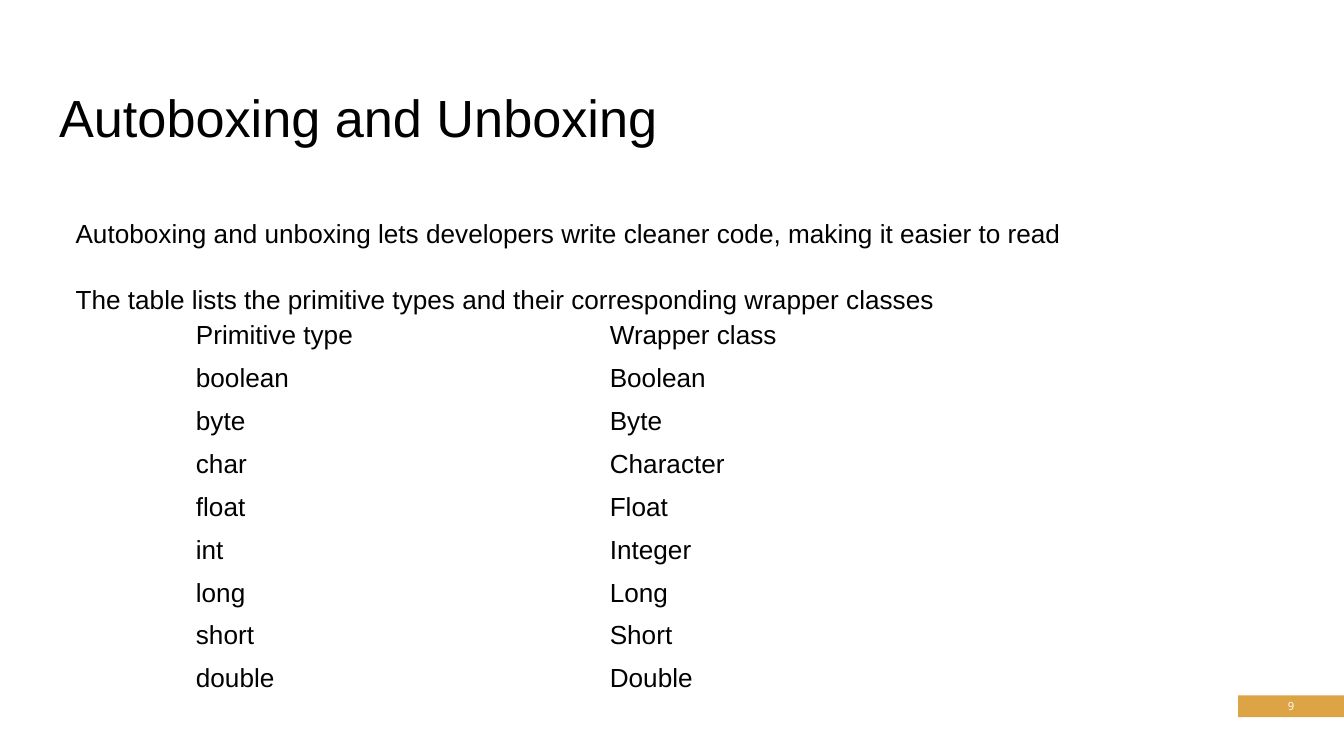
from pptx import Presentation
from pptx.dml.color import RGBColor
from pptx.enum.shapes import MSO_SHAPE
from pptx.enum.text import MSO_ANCHOR, MSO_AUTO_SIZE, PP_ALIGN
from pptx.util import Pt

TITLE = "Autoboxing and Unboxing"
STATEMENTS = [
    "Autoboxing and unboxing lets developers write cleaner code, making it easier to read",
    "The table lists the primitive types and their corresponding wrapper classes",
]
TYPES = [
    ("Primitive type", "Wrapper class"),
    ("boolean", "Boolean"),
    ("byte", "Byte"),
    ("char", "Character"),
    ("float", "Float"),
    ("int", "Integer"),
    ("long", "Long"),
    ("short", "Short"),
    ("double", "Double"),
]
PAGE = "9"
BLACK, WHITE, GOLD = "000000", "FFFFFF", "DDA446"
LEFT, WIDTH = 24.5, 671
COLUMN, ROW = 221.75, 23


def color(code):
    return RGBColor.from_string(code)


def write(frame, *lines, size=14, font="Arial", ink=BLACK, align=PP_ALIGN.LEFT,
          anchor=MSO_ANCHOR.TOP, spacing=1.0, inset=7.2):
    frame.word_wrap = True
    frame.auto_size = MSO_AUTO_SIZE.NONE
    frame.vertical_anchor = anchor
    frame.margin_left = frame.margin_right = Pt(inset)
    frame.margin_top = frame.margin_bottom = Pt(7.2)
    frame.text = "\n".join(lines)
    for paragraph in frame.paragraphs:
        paragraph.alignment = align
        paragraph.line_spacing = spacing
        paragraph.space_before = paragraph.space_after = Pt(0)
        for run in paragraph.runs:
            run.font.size = Pt(size)
            run.font.name = font
            run.font.color.rgb = color(ink)


def place(shape, left, top, width, height):
    shape.left, shape.top = Pt(left), Pt(top)
    shape.width, shape.height = Pt(width), Pt(height)


deck = Presentation()
deck.slide_width, deck.slide_height = Pt(720), Pt(405)
slide = deck.slides.add_slide(deck.slide_layouts[5])
slide.background.fill.solid()
slide.background.fill.fore_color.rgb = color(WHITE)

title = slide.shapes.title
place(title, LEFT, 35, WIDTH, 45.5)
write(title.text_frame, TITLE, size=28, spacing=1.1)

statements = slide.shapes.add_textbox(Pt(LEFT), Pt(90.75), Pt(WIDTH), Pt(269.25))
write(statements.text_frame, *STATEMENTS, spacing=2.1, inset=16)

page_tag = slide.shapes.add_shape(
    MSO_SHAPE.RECTANGLE, Pt(663.25), Pt(372.5), Pt(56.75), Pt(11.75))
page_tag.shadow.inherit = False
page_tag.fill.solid()
page_tag.fill.fore_color.rgb = color(GOLD)
page_tag.line.fill.background()
write(page_tag.text_frame, PAGE, size=6, font="Open Sans", ink=WHITE,
      align=PP_ALIGN.CENTER, anchor=MSO_ANCHOR.MIDDLE)

types = slide.shapes.add_table(
    len(TYPES), 2, Pt(97.75), Pt(168.25), Pt(2 * COLUMN), Pt(ROW * len(TYPES))).table
types.first_row = types.horz_banding = False
for column in types.columns:
    column.width = Pt(COLUMN)
for row, names in zip(types.rows, TYPES):
    row.height = Pt(ROW)
    for cell, name in zip(row.cells, names):
        cell.fill.background()
        cell.vertical_anchor = MSO_ANCHOR.MIDDLE
        cell.margin_top = cell.margin_bottom = Pt(3.6)
        cell.text = name
        font = cell.text_frame.paragraphs[0].runs[0].font
        font.size, font.name = Pt(14), "Arial"
        font.color.rgb = color(BLACK)

borderless = "{2D5ABB26-0587-4C30-8999-92F81FD0307C}"
types._tbl.tblPr.find(
    "{http://schemas.openxmlformats.org/drawingml/2006/main}tableStyleId").text = borderless

deck.save("out.pptx")
